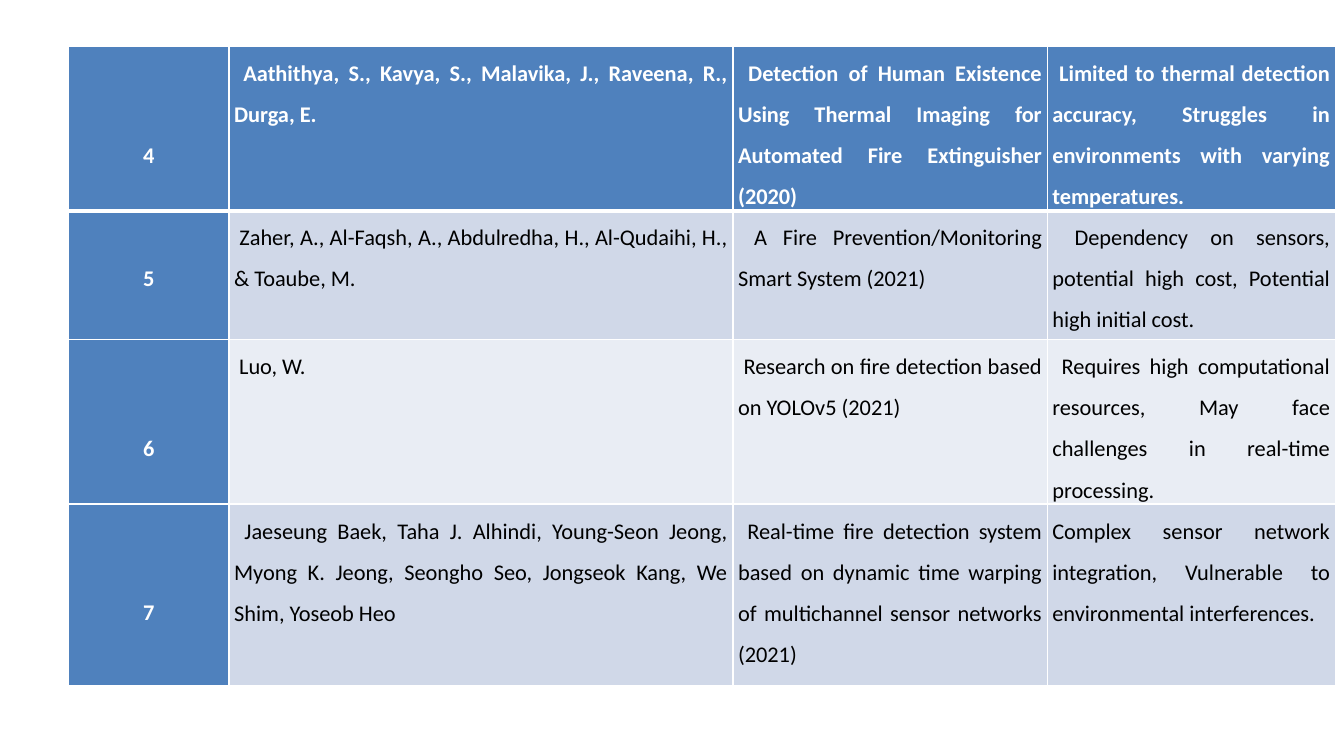
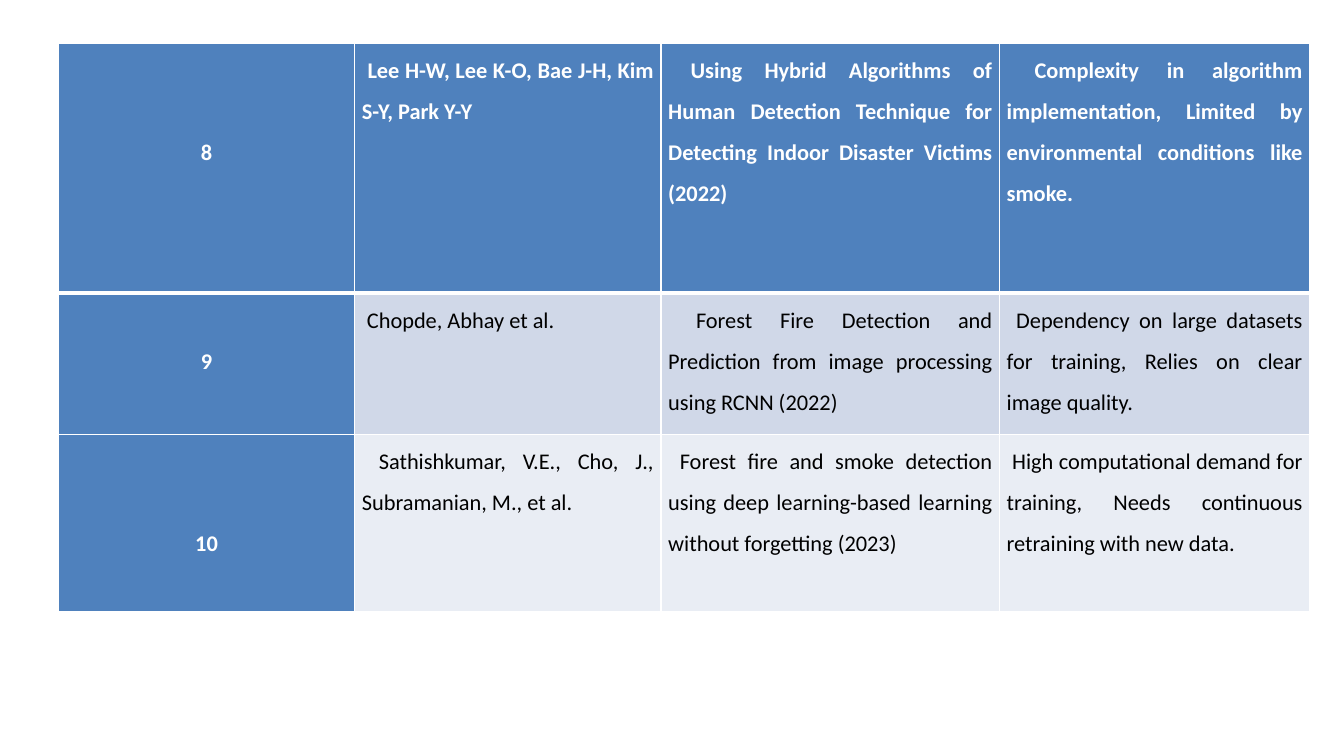
from lxml import etree
from pptx import Presentation
from pptx.dml.color import RGBColor
from pptx.enum.text import MSO_ANCHOR, PP_ALIGN
from pptx.oxml.ns import qn
from pptx.util import Cm, Pt

CENTER, JUSTIFY = PP_ALIGN.CENTER, PP_ALIGN.JUSTIFY
TOP = MSO_ANCHOR.TOP
BLANK = 6
COLORS = {
    "head": "4F81BD",
    "band_dark": "D0D8E8",
    "band_light": "E9EDF4",
    "white": "FFFFFF",
    "black": "000000",
}
FONT = {"name": "Calibri", "size": Pt(16)}
LINE = 1.03

STUDIES_4_TO_7 = [
    (4, 2, " Aathithya, S., Kavya, S., Malavika, J., Raveena, R., Durga, E.",
     " Detection of Human Existence Using Thermal Imaging for Automated Fire Extinguisher (2020)",
     " Limited to thermal detection accuracy, Struggles in environments with varying temperatures."),
    (5, 1, " Zaher, A., Al-Faqsh, A., Abdulredha, H., Al-Qudaihi, H., & Toaube, M.",
     " A Fire Prevention/Monitoring Smart System (2021)",
     " Dependency on sensors, potential high cost, Potential high initial cost."),
    (6, 2, " Luo, W.",
     " Research on fire detection based on YOLOv5 (2021)",
     " Requires high computational resources, May face challenges in real-time processing."),
    (7, 2, " Jaeseung Baek, Taha J. Alhindi, Young-Seon Jeong, Myong K. Jeong, "
     "Seongho Seo, Jongseok Kang, We Shim, Yoseob Heo",
     " Real-time fire detection system based on dynamic time warping of "
     "multichannel sensor networks (2021)",
     "Complex sensor network integration, Vulnerable to environmental interferences."),
]
STUDIES_8_TO_10 = [
    (8, 2, " Lee H-W, Lee K-O, Bae J-H, Kim S-Y, Park Y-Y",
     " Using Hybrid Algorithms of Human Detection Technique for Detecting Indoor Disaster Victims (2022)",
     " Complexity in algorithm implementation, Limited by environmental conditions like smoke."),
    (9, 1, " Chopde, Abhay et al.",
     " Forest Fire Detection and Prediction from image processing using RCNN (2022)",
     " Dependency on large datasets for training, Relies on clear image quality."),
    (10, 2, " Sathishkumar, V.E., Cho, J., Subramanian, M., et al.",
     " Forest fire and smoke detection using deep learning-based learning without forgetting (2023)",
     " High computational demand for training, Needs continuous retraining with new data."),
]


class Deck:
    """Holds the presentation, its style and the current slide."""

    def __init__(self):
        self.prs = Presentation()
        self.prs.slide_width, self.prs.slide_height = Cm(33.87), Cm(19.05)
        self.slide = None

    def add_slide(self):
        self.slide = self.prs.slides.add_slide(self.prs.slide_layouts[BLANK])

    def border(self, cell, side, width):
        tcPr = cell._tc.get_or_add_tcPr()
        ln = etree.SubElement(tcPr, qn(f"a:ln{side}"), w=str(Pt(width)))
        fill = etree.SubElement(ln, qn("a:solidFill"))
        etree.SubElement(fill, qn("a:srgbClr"), val=COLORS["white"])

    def cell(self, cell, text, fill, inset, align, bold, skip=0):
        for side, width in fill["borders"].items():
            self.border(cell, side, width)
        cell.fill.solid()
        cell.fill.fore_color.rgb = RGBColor.from_string(COLORS[fill["color"]])
        layout = {"margin_left": Cm(inset), "margin_right": Cm(inset),
                  "margin_top": Cm(skip * LINE), "margin_bottom": 0,
                  "vertical_anchor": TOP}
        for name, value in layout.items():
            setattr(cell, name, value)
        p = cell.text_frame.paragraphs[0]
        p.alignment, p.line_spacing = align, 1.5
        r = p.add_run()
        r.text = text
        for name, value in {**FONT, "bold": bold}.items():
            setattr(r.font, name, value)
        color = COLORS["white" if bold else "black"]
        r.font.color.rgb = RGBColor.from_string(color)

    def table(self, studies, left, top, widths, heights, inset):
        frame = self.slide.shapes.add_table(
            len(studies), len(widths), Cm(left), Cm(top),
            Cm(sum(widths)), Cm(sum(heights)))
        table = frame.table
        for column, width in zip(table.columns, widths):
            column.width = Cm(width)
        for i, (number, skip, *texts) in enumerate(studies):
            table.rows[i].height = Cm(heights[i])
            borders = {"L": 1, "R": 1, "T": 3 if i == 1 else 1, "B": 3 if i == 0 else 1}
            head = {"color": "head", "borders": borders}
            band = {"color": "band_dark" if i % 2 else "band_light", "borders": borders}
            self.cell(table.cell(i, 0), str(number), head, inset, CENTER, True, skip)
            for j, text in enumerate(texts, 1):
                self.cell(table.cell(i, j), text, band if i else head,
                          inset, JUSTIFY, i == 0)


def main():
    deck = Deck()
    deck.add_slide()
    deck.table(STUDIES_4_TO_7, 1.73, 1.17, [4.04, 12.7, 7.92, 7.26],
               [3.91, 3.25, 3.25, 4.57], 0.13)
    deck.add_slide()
    deck.table(STUDIES_8_TO_10, 1.47, 1.09, [7.47, 7.72, 8.53, 7.82],
               [6.3, 3.56, 4.47], 0.18)
    deck.prs.save("out.pptx")


if __name__ == "__main__":
    main()
